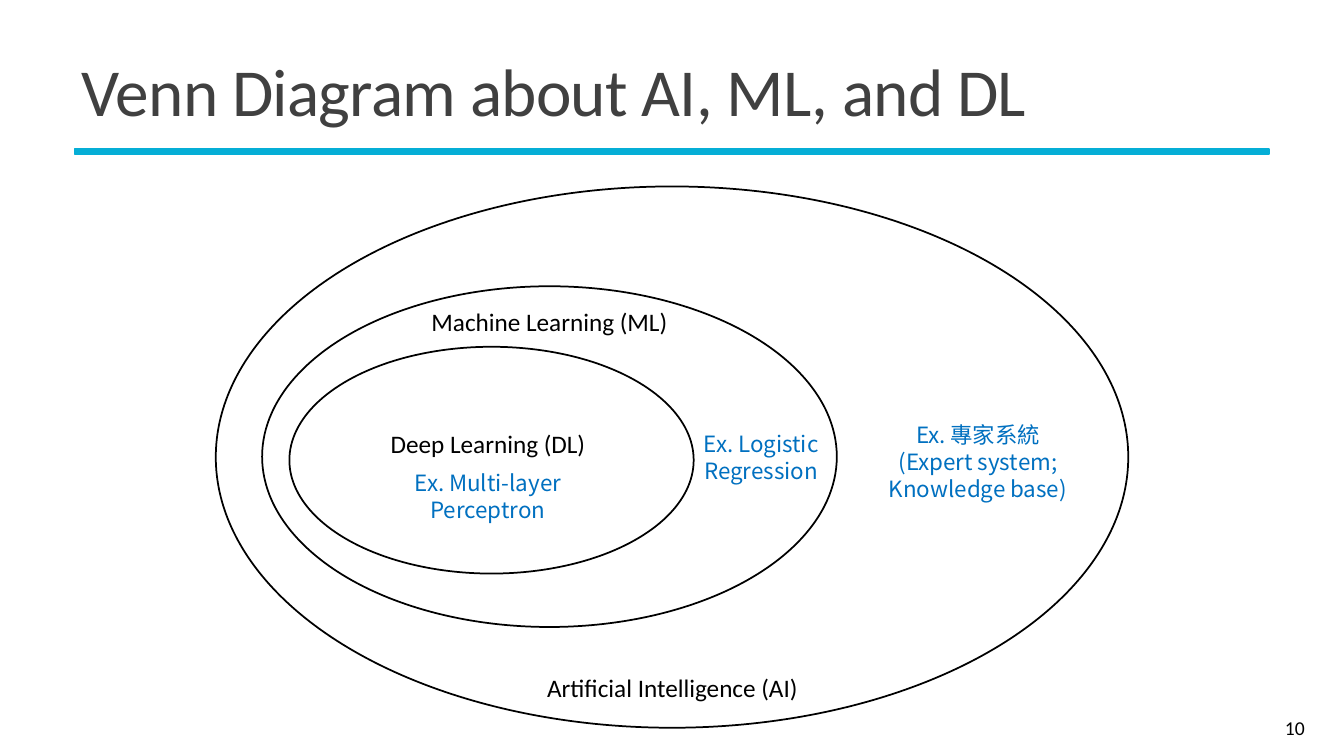
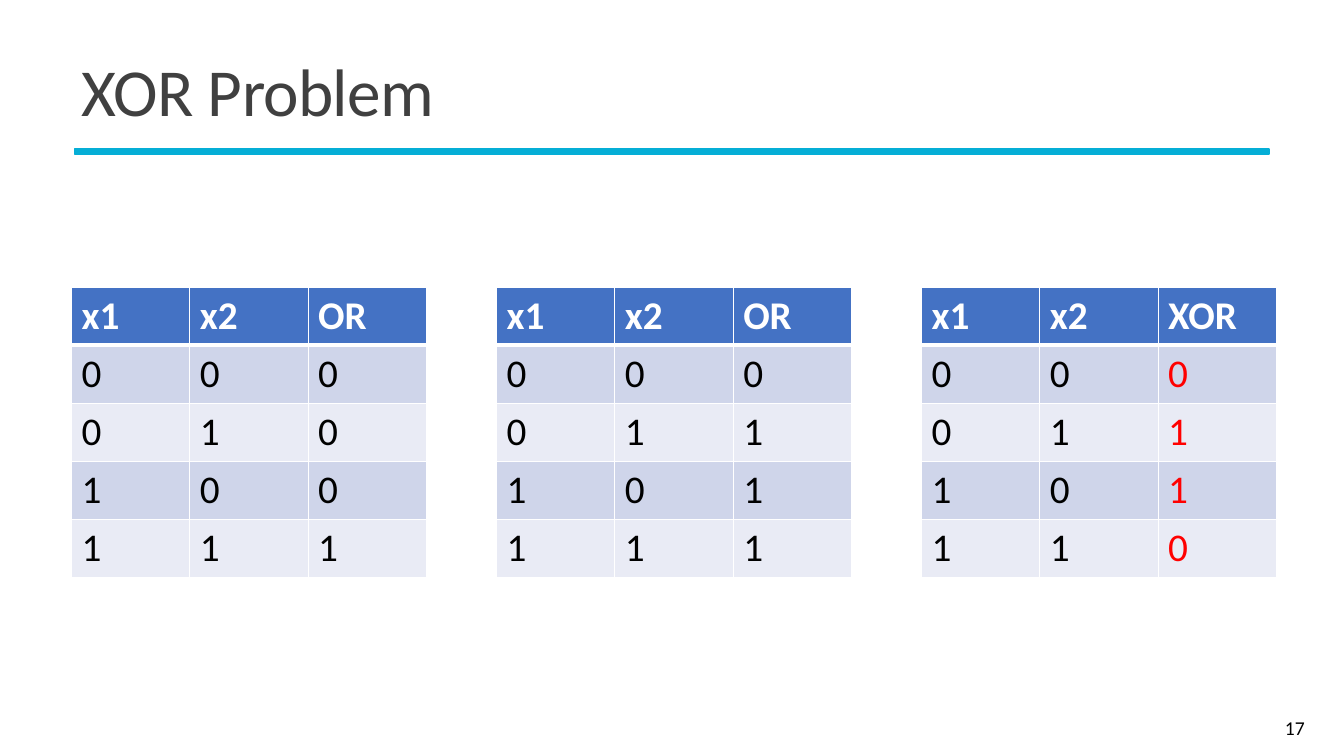
from lxml import etree
from pptx import Presentation
from pptx.dml.color import RGBColor
from pptx.enum.shapes import MSO_SHAPE
from pptx.enum.text import MSO_ANCHOR, MSO_AUTO_SIZE, PP_ALIGN
from pptx.oxml.ns import qn
from pptx.util import Inches, Pt

RECT, OVAL = MSO_SHAPE.RECTANGLE, MSO_SHAPE.OVAL
LEFT, CENTER, RIGHT = PP_ALIGN.LEFT, PP_ALIGN.CENTER, PP_ALIGN.RIGHT
TOP, MIDDLE = MSO_ANCHOR.TOP, MSO_ANCHOR.MIDDLE
NO_FIT = MSO_AUTO_SIZE.NONE

COLORS = {key: RGBColor.from_string(value) for key, value in {
    "accent": "05AED6", "title": "404040", "text": "000000", "example": "0070C0",
    "header": "4472C4", "odd": "CFD5EA", "even": "E9EBF5",
    "white": "FFFFFF", "result": "FF0000"}.items()}

# Text formats
STYLES = {
    "title": dict(size=48, name="Calibri", color="title", align=LEFT, anchor=MIDDLE, spacing=0.85),
    "number": dict(size=14, name="Calibri", color="text", align=RIGHT, anchor=MIDDLE, spacing=1.0),
    "set": dict(size=18, name="Calibri", color="text", align=CENTER, anchor=TOP, spacing=1.0),
    "example": dict(size=16, name="Noto Sans CJK TC", color="example", align=CENTER,
                    anchor=TOP, spacing=Pt(19.5)),
}


def write(shape, text, style):
    """Fill a text shape in one of the shared styles."""
    look = STYLES[style]
    frame = shape.text_frame
    for key, value in {"word_wrap": True, "auto_size": NO_FIT,
                       "vertical_anchor": look["anchor"]}.items():
        setattr(frame, key, value)
    paragraph = frame.paragraphs[0]
    paragraph.alignment, paragraph.line_spacing = look["align"], look["spacing"]
    run = paragraph.add_run()
    run.text = text
    run.font.size, run.font.name = Pt(look["size"]), look["name"]
    run.font.color.rgb = COLORS[look["color"]]
    properties = run.font._element
    etree.SubElement(properties, qn("a:ea"), typeface=look["name"])
    if style == "title":
        properties.set("spc", "-50")


def add_outline(slide, kind, box, color, fill=None):
    """Add a preset shape with a thin line."""
    shape = slide.shapes.add_shape(kind, *map(Inches, box))
    shape.shadow.inherit = False
    shape.line.color.rgb, shape.line.width = COLORS[color], Pt(1.25)
    if fill:
        shape.fill.solid()
        shape.fill.fore_color.rgb = COLORS[fill]
    else:
        shape.fill.background()


prs = Presentation()
prs.slide_width, prs.slide_height = Inches(13.33), Inches(7.5)
TITLE_ONLY = prs.slide_layouts[5]
MARGIN, CONTENT_WIDTH = 0.71, 11.95

# Title, band and page number on both slides
slides = []
for heading, number in [("Venn Diagram about AI, ML, and DL", "10"), ("XOR Problem", "17")]:
    slide = prs.slides.add_slide(TITLE_ONLY)
    add_outline(slide, RECT, (0.74, 1.48, 11.85, 0.05), "accent", "accent")
    title = slide.shapes.title
    for side, value in {"left": MARGIN, "top": 0.39, "width": CONTENT_WIDTH, "height": 1.13}.items():
        setattr(title, side, Inches(value))
    write(title, heading, "title")
    write(slide.shapes.add_textbox(*map(Inches, (11.61, 7.02, 1.43, 0.4))), number, "number")
    slides.append(slide)
venn, truth = slides

# Nested sets, outermost first: ellipse, then label position
LABEL_SIZE = (2.88, 0.4)
for ellipse, corner, label in [
    ((2.14, 1.85, 9.05, 5.37), (5.23, 6.62), "Artificial Intelligence (AI)"),
    ((2.6, 2.84, 5.7, 3.38), (4.01, 2.99), "Machine Learning (ML)"),
    ((2.87, 3.44, 4.01, 2.25), (3.4, 4.2), "Deep Learning (DL)"),
]:
    add_outline(venn, OVAL, ellipse, "text")
    write(venn.shapes.add_textbox(*map(Inches, corner + LABEL_SIZE)), label, "set")

# One example per set
for box, example in [
    ((8.71, 4.12, 1.98, 0.91), "Ex. 專家系統 (Expert system; Knowledge base)"),
    ((6.68, 4.21, 1.74, 0.64), "Ex. Logistic Regression"),
    ((3.97, 4.6, 1.74, 0.64), "Ex. Multi-layer Perceptron"),
]:
    write(venn.shapes.add_textbox(*map(Inches, box)), example, "example")

# Truth tables, spread evenly over the content width
INPUTS = ["00", "01", "10", "11"]
GATES = [("OR", "0001", "text"), ("OR", "0111", "text"), ("XOR", "0110", "result")]
TABLE_WIDTH, ROW_HEIGHT = 3.52, 0.57
STEP = (CONTENT_WIDTH - TABLE_WIDTH) / (len(GATES) - 1)

for position, (gate, outputs, output_color) in enumerate(GATES):
    rows = [["x1", "x2", gate]] + [[*pair, out] for pair, out in zip(INPUTS, outputs)]
    grid = truth.shapes.add_table(
        len(rows), 3, Inches(MARGIN + position * STEP), Inches(2.85),
        Inches(TABLE_WIDTH), Inches(ROW_HEIGHT * len(rows))).table
    for r, row in enumerate(rows):
        for c, value in enumerate(row):
            cell = grid.cell(r, c)
            cell.text = value
            is_header = r == 0
            font = cell.text_frame.paragraphs[0].runs[0].font
            font.size, font.name, font.bold = Pt(28), "Calibri", is_header
            font.color.rgb = COLORS["white" if is_header else output_color if c == 2 else "text"]

            # White borders, heavier around the header's lower edge
            borders = cell._tc.get_or_add_tcPr()
            for side in "LRTB":
                heavy = (r, side) in [(0, "B"), (1, "T")]
                line = etree.SubElement(borders, qn("a:ln" + side), w=str(Pt(3 if heavy else 1)))
                paint = etree.SubElement(line, qn("a:solidFill"))
                etree.SubElement(paint, qn("a:srgbClr"), val=str(COLORS["white"]))
            cell.fill.solid()
            cell.fill.fore_color.rgb = COLORS["header" if is_header else "odd" if r % 2 else "even"]

prs.save("out.pptx")
